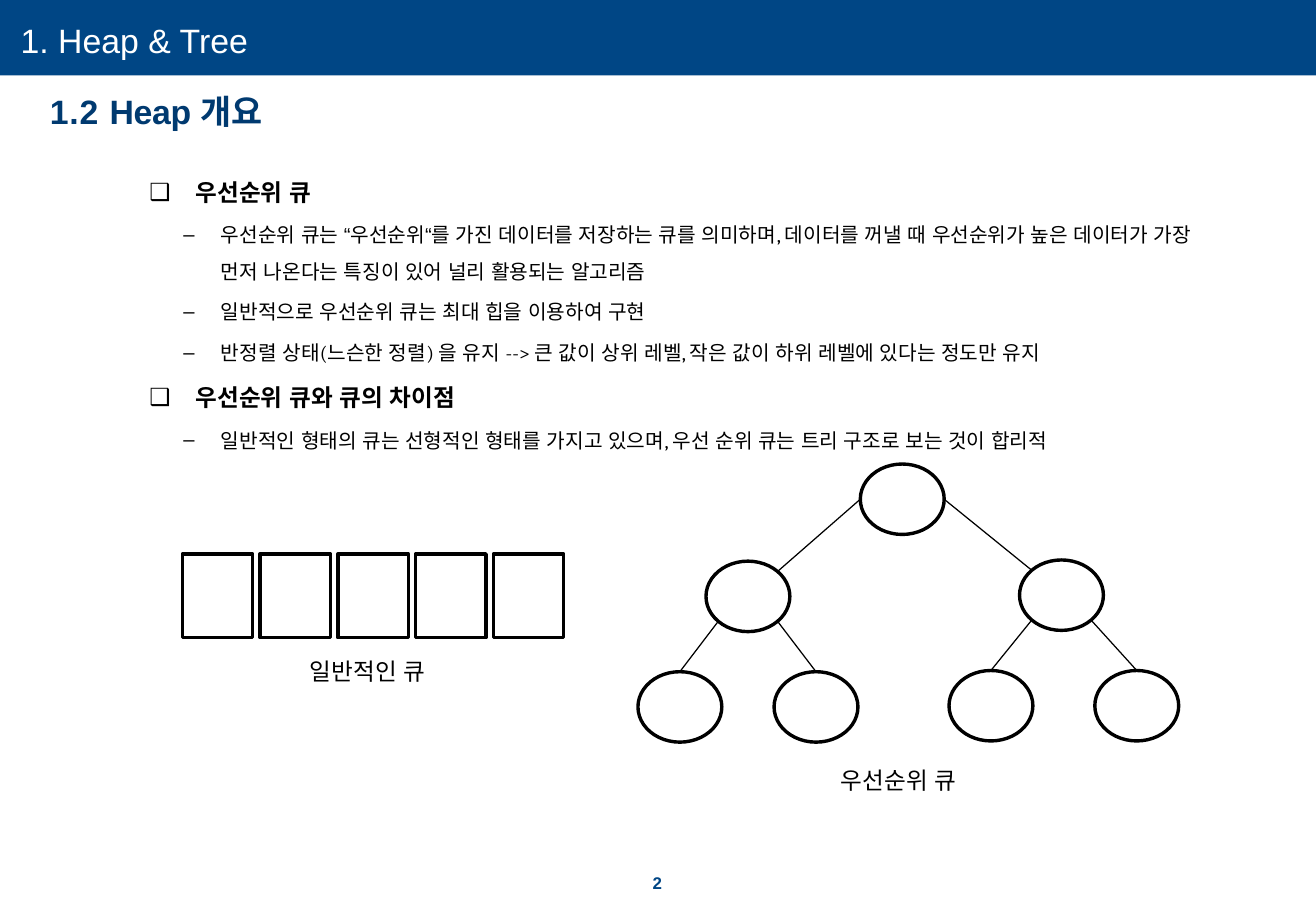
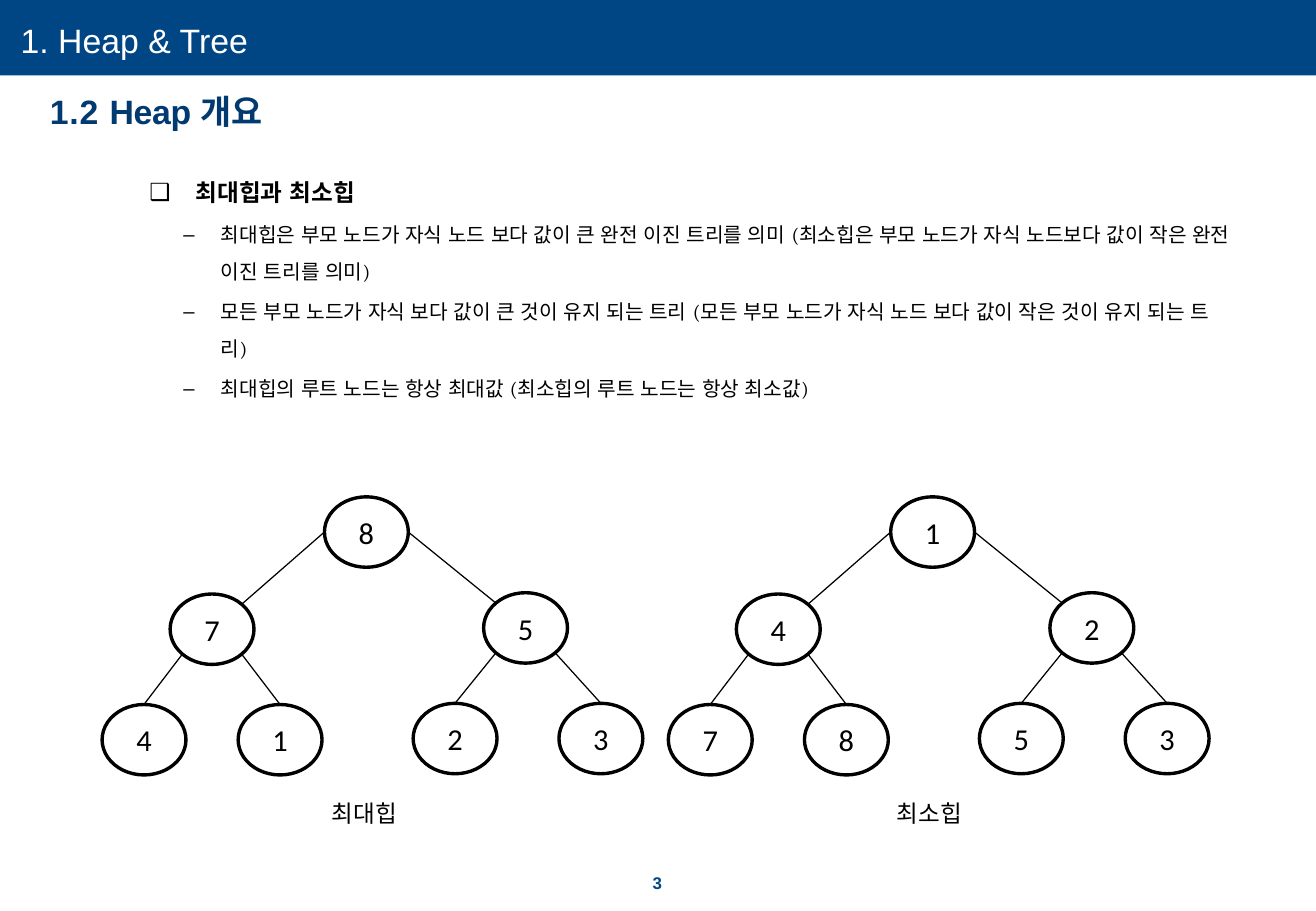
import math

import pptx
import pptx.dml.color
import pptx.enum.shapes
import pptx.enum.text
import pptx.oxml.ns
import pptx.util
from lxml import etree
from pptx.util import Inches, Pt

COLORS = {"band": "004685", "title": "003A70", "white": "FFFFFF", "black": "000000"}
SLIDE_W, SLIDE_H = 10.83, 7.5
NODE_W, NODE_H = 0.69, 0.58
NODE_OFFSETS = [(0, 0), (-1.27, 0.8), (1.31, 0.79),
                (-1.83, 1.71), (-0.71, 1.71), (0.73, 1.7), (1.93, 1.7)]
FIRST_LEAF = 3
BULLETS = [
    {"char": "❑", "margin": 0.38, "indent": -0.38, "size": 14, "bold": True},
    {"char": "–", "margin": 0.59, "indent": -0.31, "size": 12, "bold": False},
]

QUEUE_POINTS = [
    (0, "우선순위 큐"),
    (1, "우선순위 큐는 “우선순위“를 가진 데이터를 저장하는 큐를 의미하며, 데이터를 꺼낼 때 "
        "우선순위가 높은 데이터가 가장 먼저 나온다는 특징이 있어 널리 활용되는 알고리즘"),
    (1, "일반적으로 우선순위 큐는 최대 힙을 이용하여 구현"),
    (1, "반정렬 상태(느슨한 정렬) 을 유지 --> 큰 값이 상위 레벨, 작은 값이 하위 레벨에 있다는 정도만 유지"),
    (0, "우선순위 큐와 큐의 차이점"),
    (1, "일반적인 형태의 큐는 선형적인 형태를 가지고 있으며, 우선 순위 큐는 트리 구조로 보는 것이 합리적"),
]
HEAP_POINTS = [
    (0, "최대힙과 최소힙"),
    (1, "최대힙은 부모 노드가 자식 노드 보다 값이 큰 완전 이진 트리를 의미 "
        "(최소힙은 부모 노드가 자식 노드보다 값이 작은 완전 이진 트리를 의미)"),
    (1, "모든 부모 노드가 자식 보다 값이 큰 것이 유지 되는 트리 "
        "(모든 부모 노드가 자식 노드 보다 값이 작은 것이 유지 되는 트리)"),
    (1, "최대힙의 루트 노드는 항상 최대값 (최소힙의 루트 노드는 항상 최소값)"),
]


def rgb(name):
    """Return the named colour."""
    return pptx.dml.color.RGBColor.from_string(COLORS[name])


def style_run(r, size, font, color="black", bold=False, spacing=None):
    """Format one run; spacing is in points."""
    r.font.size, r.font.name, r.font.bold = Pt(size), font, bold
    r.font.color.rgb = rgb(color)
    if spacing is not None:
        r._r.get_or_add_rPr().set("spc", str(round(spacing * 100)))


def set_korean(r):
    """Set the language and the East Asian font of a Korean run."""
    rPr = r._r.get_or_add_rPr()
    rPr.set("lang", "ko-KR")
    etree.SubElement(rPr, pptx.oxml.ns.qn("a:ea")).set("typeface", "Arial")


def clear_insets(tf):
    """Remove the inner margins and anchor the text at the top."""
    tf.margin_left = tf.margin_top = tf.margin_right = tf.margin_bottom = 0
    tf.vertical_anchor = pptx.enum.text.MSO_ANCHOR.TOP


def add_label(s, box, text, size, font, color="black", bold=False, spacing=None, inset=True):
    """Add a one-line text box and return its paragraph."""
    tf = s.shapes.add_textbox(*map(Inches, box)).text_frame
    tf.word_wrap = not inset
    if not inset:
        clear_insets(tf)
    p = tf.paragraphs[0]
    p.text = text
    style_run(p.runs[0], size, font, color, bold, spacing)
    return p


def add_outline(s, kind, box):
    """Add an unfilled shape with a black outline."""
    sp = s.shapes.add_shape(kind, *map(Inches, box))
    sp.shadow.inherit = False
    sp.fill.background()
    sp.line.color.rgb = rgb("black")
    sp.line.width = Pt(2)
    return sp


def add_frame(prs, number):
    """Add a slide with the band, section name, title and page number."""
    s = prs.slides.add_slide(prs.slide_layouts[5])
    band = s.shapes.add_shape(pptx.enum.shapes.MSO_SHAPE.RECTANGLE,
                              0, 0, Inches(SLIDE_W), Inches(0.62))
    band.shadow.inherit = False
    band.fill.solid()
    band.fill.fore_color.rgb = rgb("band")
    band.line.fill.background()

    add_label(s, (0.17, 0.16, 2.85, 0.34), "1. Heap & Tree", 20, "Arial", "white", inset=False)
    p = add_label(s, (5.37, 7.2, 0.15, 0.15), str(number), 10, "Arial", "band",
                  True, 0.5, inset=False)
    p.line_spacing = Pt(10.9)

    title = s.shapes.title
    title.left, title.top, title.width, title.height = map(Inches, (0.41, 0.75, 6.6, 0.34))
    tf = title.text_frame
    clear_insets(tf)
    tf.auto_size = pptx.enum.text.MSO_AUTO_SIZE.NONE
    p = tf.paragraphs[0]
    p.alignment = pptx.enum.text.PP_ALIGN.LEFT
    for text, spacing in (("1.2 ", 0.5), ("Heap 개요", -0.2)):
        r = p.add_run()
        r.text = text
        style_run(r, 20, "Arial", "title", True, spacing)
    return s


def add_points(s, points):
    """Add the two-level bulleted text."""
    tf = s.shapes.add_textbox(*map(Inches, (1.13, 1.3, 9.12, 2.02))).text_frame
    tf.word_wrap = True
    for i, (level, text) in enumerate(points):
        look = BULLETS[level]
        p = tf.add_paragraph() if i else tf.paragraphs[0]
        p.text, p.level = text, level
        pPr = p._p.get_or_add_pPr()
        pPr.set("marL", str(Inches(look["margin"])))
        pPr.set("indent", str(Inches(look["indent"])))
        etree.SubElement(pPr, pptx.oxml.ns.qn("a:buFont")).set("typeface", "Arial")
        etree.SubElement(pPr, pptx.oxml.ns.qn("a:buChar")).set("char", look["char"])
        p.line_spacing = 1.5
        p.space_before = Pt(0.2 * look["size"] if i else 0)
        style_run(p.runs[0], look["size"], "Cambria", bold=look["bold"])
        set_korean(p.runs[0])


def add_edge(s, start, end, leaf=None):
    """Draw a thin line, joined to the top of a leaf if one is given."""
    line = s.shapes.add_connector(pptx.enum.shapes.MSO_CONNECTOR.STRAIGHT,
                                  *map(Inches, (*start, *end)))
    line.line.color.rgb = rgb("black")
    line.line.width = Pt(0.75)
    etree.SubElement(line._element.spPr, pptx.oxml.ns.qn("a:effectLst"))
    if leaf is not None:
        line.end_connect(leaf, 0)


def add_tree(s, left, top, values=()):
    """Draw a seven-node binary tree in level order, its root at left, top."""
    nodes, centers = [], []
    for i, (dx, dy) in enumerate(NODE_OFFSETS):
        x, y = left + dx, top + dy
        node = add_outline(s, pptx.enum.shapes.MSO_SHAPE.OVAL, (x, y, NODE_W, NODE_H))
        if values:
            tf = node.text_frame
            tf.text = str(values[i])
            tf.vertical_anchor = pptx.enum.text.MSO_ANCHOR.MIDDLE
            tf.paragraphs[0].alignment = pptx.enum.text.PP_ALIGN.CENTER
            style_run(tf.paragraphs[0].runs[0], 18, "Calibri")
        nodes.append(node)
        centers.append((x + NODE_W / 2, y + NODE_H / 2))

    diag_x, diag_y = (d / 2 * math.sqrt(0.5) for d in (NODE_W, NODE_H))
    for i in range(1, len(nodes)):
        side = -1 if i % 2 else 1
        px, py = centers[(i - 1) // 2]
        cx, cy = centers[i]
        if i < FIRST_LEAF:
            add_edge(s, (px + side * NODE_W / 2, py), (cx - side * diag_x, cy - diag_y))
        else:
            add_edge(s, (px + side * diag_x, py + diag_y), (cx, cy - NODE_H / 2), nodes[i])


def add_queue(s, left, top, count):
    """Draw a row of equal queue cells."""
    for i in range(count):
        add_outline(s, pptx.enum.shapes.MSO_SHAPE.RECTANGLE, (left + i * 0.64, top, 0.58, 0.69))


def add_caption(s, left, top, width, text):
    """Add the name under a diagram."""
    p = add_label(s, (left, top, width, 0.34), text, 14, "Calibri")
    set_korean(p.runs[0])


def main():
    """Build and save the slides."""
    prs = pptx.Presentation()
    prs.slide_width, prs.slide_height = Inches(SLIDE_W), Inches(SLIDE_H)

    s = add_frame(prs, 2)
    add_points(s, QUEUE_POINTS)
    add_queue(s, 1.5, 4.56, 5)
    add_caption(s, 2.45, 5.36, 1.23, "일반적인 큐")
    add_tree(s, 7.08, 3.82)
    add_caption(s, 6.82, 6.26, 1.23, "우선순위 큐")

    s = add_frame(prs, 3)
    add_points(s, HEAP_POINTS)
    add_tree(s, 2.67, 4.09, (8, 7, 5, 4, 1, 2, 3))
    add_caption(s, 2.63, 6.53, 0.79, "최대힙")
    add_tree(s, 7.33, 4.09, (1, 4, 2, 7, 8, 5, 3))
    add_caption(s, 7.28, 6.53, 0.79, "최소힙")

    prs.save("out.pptx")


if __name__ == "__main__":
    main()
